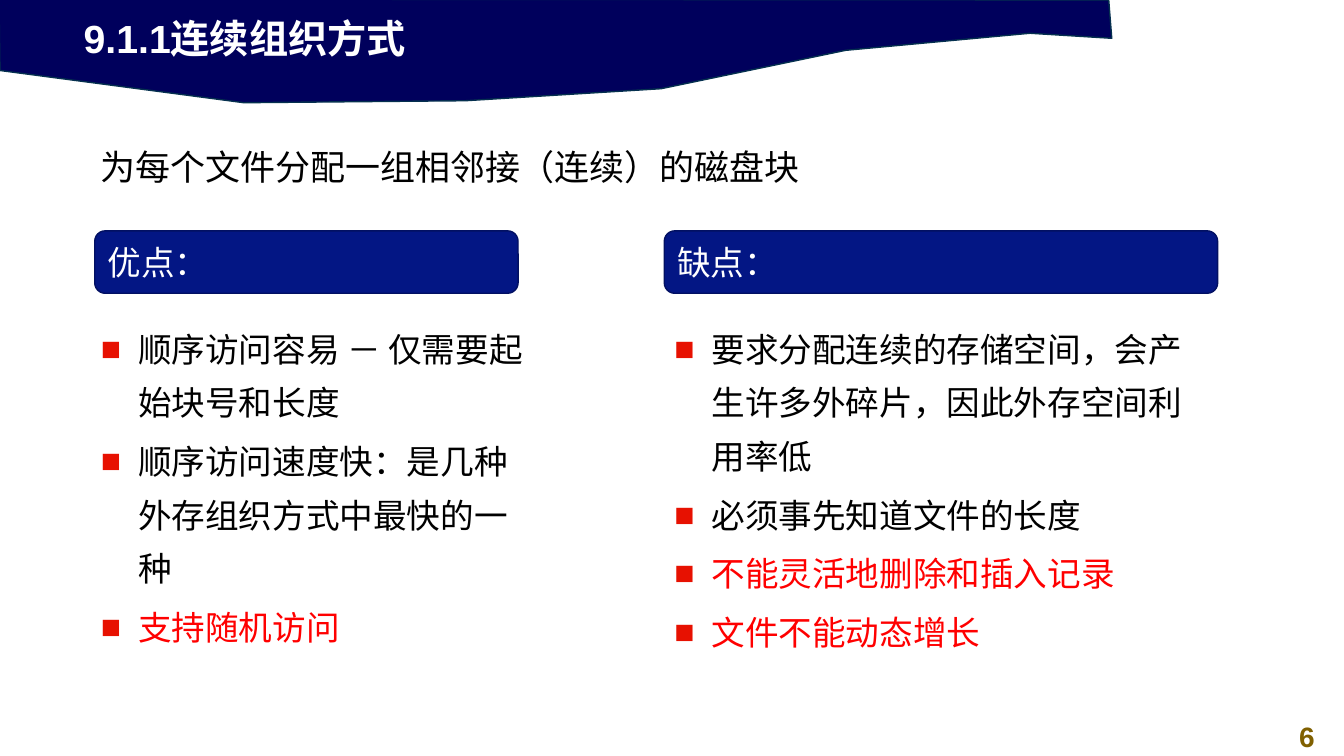
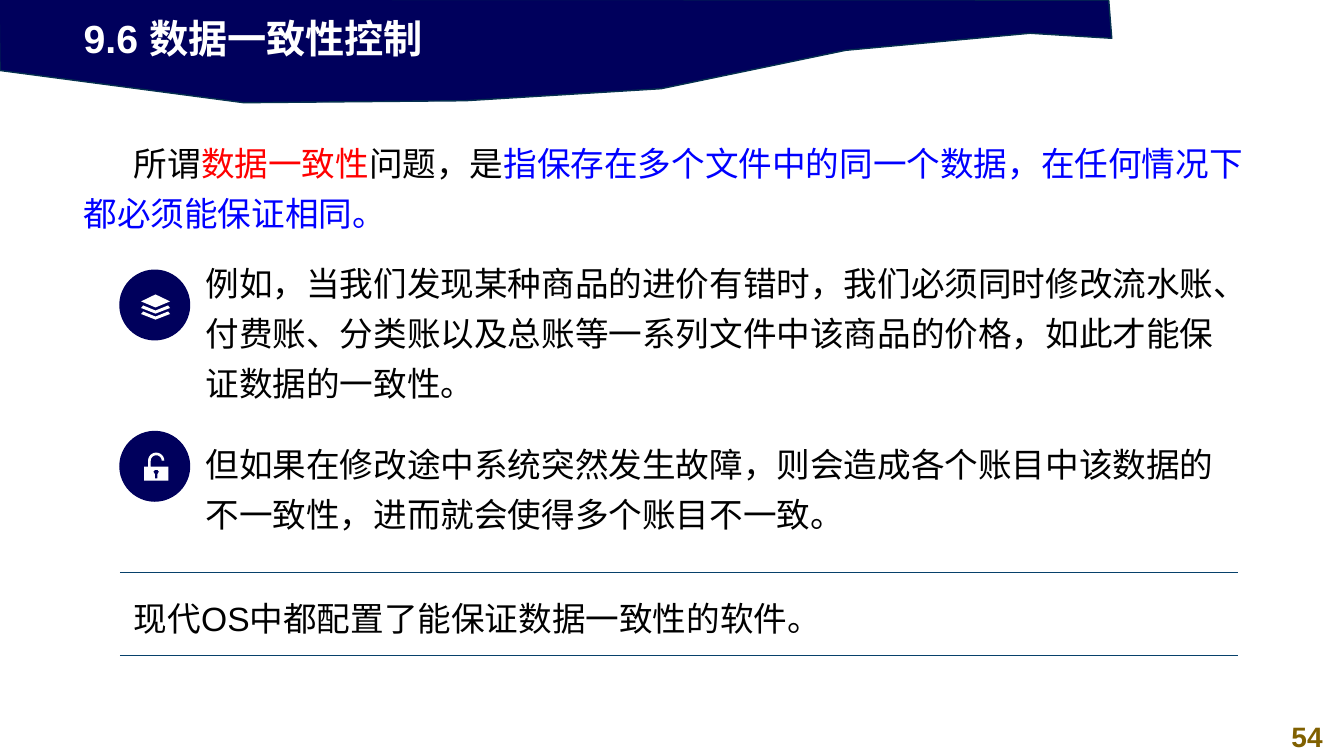
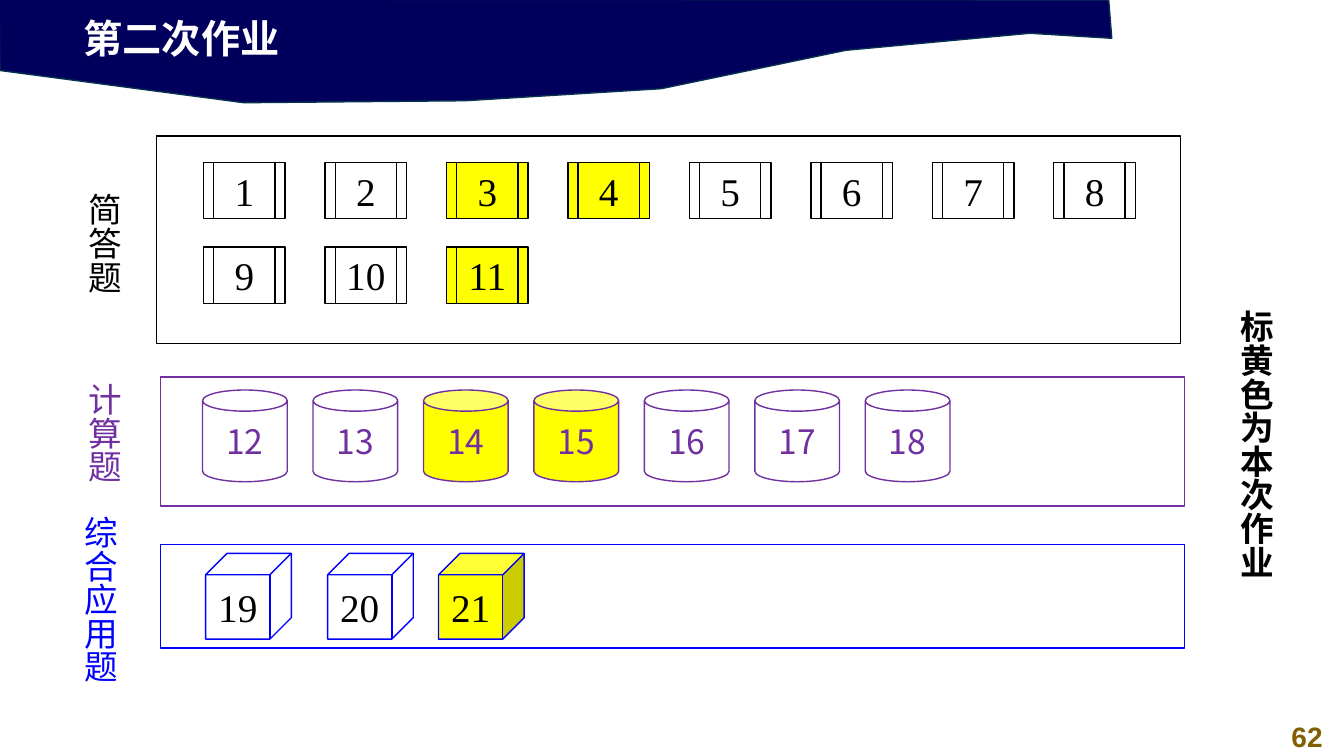
import math

from lxml import etree
from pptx import Presentation
from pptx import util as u
from pptx.dml.color import RGBColor
from pptx.enum import shapes, text
from pptx.oxml import ns

Pt = u.Pt
SHAPE = shapes.MSO_SHAPE
MIDDLE = text.MSO_ANCHOR.MIDDLE

NAVY = RGBColor(0x00, 0x00, 0x5C)
BAND_EDGE = RGBColor(0x05, 0x30, 0x4F)
GOLD = RGBColor(0x80, 0x60, 0x00)
HEADER = RGBColor(0x03, 0x16, 0x84)
HEADER_EDGE = RGBColor(0x02, 0x10, 0x62)
RULE = RGBColor(0x07, 0x41, 0x6B)
WHITE = RGBColor(0xFF, 0xFF, 0xFF)
BLACK = RGBColor(0x00, 0x00, 0x00)
RED = RGBColor(0xFF, 0x00, 0x00)
BLUE = RGBColor(0x00, 0x00, 0xFF)
PURPLE = RGBColor(0x70, 0x30, 0xA0)
YELLOW = RGBColor(0xFF, 0xFF, 0x00)

LATIN, CJK, SERIF = "Arial", "Noto Sans CJK SC", "Times New Roman"


def style(r, size, color, name=LATIN, bold=False):
    """Format one run, with the CJK font for its Chinese text."""
    r.font.size, r.font.bold, r.font.name = Pt(size), bold, name
    r.font.color.rgb = color
    ea = etree.SubElement(r.font._element, ns.qn("a:ea"))
    ea.set("typeface", CJK)


def paint(sp, fill=None, line=None):
    """Set the fill and outline of a shape; None means none."""
    sp.shadow.inherit = False
    if fill is None:
        sp.fill.background()
    else:
        sp.fill.solid()
        sp.fill.fore_color.rgb = fill
    if line is None:
        sp.line.fill.background()
    else:
        sp.line.color.rgb = line
        sp.line.width = Pt(1)


prs = Presentation()
prs.slide_width, prs.slide_height = Pt(960), Pt(540)

# Slides with title and number
slides = []
for layout, title, number in [
    (3, "9.1.1连续组织方式", "6"),
    (5, "9.6 数据一致性控制", "54"),
    (5, "第二次作业", "62"),
]:
    s = prs.slides.add_slide(prs.slide_layouts[layout])
    slides.append(s)
    sp = s.shapes.title
    sp.left, sp.top, sp.width, sp.height = Pt(52.6), Pt(6.5), Pt(553), Pt(41)
    tf = sp.text_frame
    tf.text = title
    tf.vertical_anchor = MIDDLE
    tf.auto_size = text.MSO_AUTO_SIZE.NONE
    p = tf.paragraphs[0]
    p.alignment = text.PP_ALIGN.LEFT
    style(p.runs[0], 28, WHITE, bold=True)

    tf = s.shapes.add_textbox(Pt(907.2), Pt(510.5), Pt(52.8), Pt(31.7)).text_frame
    tf.word_wrap = True
    tf.text = number
    p = tf.paragraphs[0]
    p.alignment = text.PP_ALIGN.CENTER
    style(p.runs[0], 20, GOLD, bold=True)

# Title band, moved to the master
fb = slides[0].shapes.build_freeform(Pt(-0.7), Pt(-0.7), scale=1.0)
fb.add_line_segments([(Pt(x), Pt(y)) for x, y in [
    (0, 50.4), (174.2, 73.4), (332.6, 72), (472.3, 63.4),
    (604.1, 36), (735.8, 23.8), (794.2, 27.4), (792, 0)]])
band = fb.convert_to_shape()
paint(band, NAVY, BAND_EDGE)
prs.slide_master.element.cSld.spTree.insert(2, band.element)

# Slide 1: contiguous allocation
s = slides[0]
tf = s.shapes.add_textbox(Pt(64.8), Pt(100.1), Pt(566.6), Pt(37.4)).text_frame
tf.word_wrap = True
tf.text = "为每个文件分配一组相邻接（连续）的磁盘块"
style(tf.paragraphs[0].runs[0], 25, BLACK)

columns = [
    ("优点：", 67.7, 302.4, 64.8, 326.2, [
        ("顺序访问容易 － 仅需要起始块号和长度", BLACK),
        ("顺序访问速度快：是几种外存组织方式中最快的一种", BLACK),
        ("支持随机访问", RED)]),
    ("缺点：", 474.5, 395.3, 474.5, 395.3, [
        ("要求分配连续的存储空间，会产生许多外碎片，因此外存空间利用率低", BLACK),
        ("必须事先知道文件的长度", BLACK),
        ("不能灵活地删除和插入记录", RED),
        ("文件不能动态增长", RED)]),
]
for idx, (heading, x, w, list_x, list_w, items) in enumerate(columns, 1):
    sp = s.shapes.add_shape(SHAPE.ROUNDED_RECTANGLE, Pt(x), Pt(164.9), Pt(w), Pt(44.6))
    paint(sp, HEADER, HEADER_EDGE)
    tf = sp.text_frame
    tf.text = heading
    tf.vertical_anchor = MIDDLE
    tf.paragraphs[0].alignment = text.PP_ALIGN.LEFT
    style(tf.paragraphs[0].runs[0], 24, WHITE)

    sp = s.placeholders[idx]
    sp.left, sp.top, sp.width, sp.height = Pt(list_x), Pt(221.8), Pt(list_w), Pt(254)
    tf = sp.text_frame
    tf.text = "\n".join(item for item, color in items)
    tf.auto_size = text.MSO_AUTO_SIZE.NONE
    for i, (p, (item, color)) in enumerate(zip(tf.paragraphs, items)):
        pPr = p._p.get_or_add_pPr()
        pPr.set("marL", str(Pt(26.6)))
        pPr.set("indent", str(-Pt(26.6)))
        clr = etree.SubElement(pPr, ns.qn("a:buClr"))
        etree.SubElement(clr, ns.qn("a:srgbClr")).set("val", "E71101")
        etree.SubElement(pPr, ns.qn("a:buFont")).set("typeface", LATIN)
        etree.SubElement(pPr, ns.qn("a:buChar")).set("char", "■")
        p.line_spacing = Pt(38.2)
        p.space_before = Pt(3.7 if i else 0)
        style(p.runs[0], 24, color)

# Slide 2: paragraphs
s = slides[1]
for x, y, w, h, indent, runs in [
    (52.6, 100.8, 855.4, 59.8, 36, [
        ("所谓", BLACK), ("数据一致性", RED), ("问题，是", BLACK),
        ("指保存在多个文件中的同一个数据，在任何情况下都必须能保证相同。", BLUE)]),
    (139.7, 186.5, 757.4, 96.5, 0, [
        ("例如，当我们发现某种商品的进价有错时，我们必须同时修改流水账、付费账、"
         "分类账以及总账等一系列文件中该商品的价格，如此才能保证数据的一致性。", BLACK)]),
    (139.7, 311.8, 744.5, 67.7, 0, [
        ("但如果在修改途中系统突然发生故障，则会造成各个账目中该数据的不一致性，"
         "进而就会使得多个账目不一致。", BLACK)]),
    (52.6, 408.2, 855.4, 59.8, 36, [
        ("现代OS中都配置了能保证数据一致性的软件。", BLACK)]),
]:
    tf = s.shapes.add_textbox(Pt(x), Pt(y), Pt(w), Pt(h)).text_frame
    tf.word_wrap = True
    tf.vertical_anchor = MIDDLE
    p = tf.paragraphs[0]
    p._p.get_or_add_pPr().set("indent", str(Pt(indent)))
    p.line_spacing = Pt(35.7)
    for words, color in runs:
        r = p.add_run()
        r.text = words
        style(r, 24, color)

# Slide 2: round icons, each a list of outlines relative to its circle
chevron = [(15.1, 27), (16.6, 25.2), (25.4, 28.8), (34.4, 25.2), (35.8, 27), (25.4, 31)]
layers = [[(15.1, 22.3), (25.4, 17.3), (35.8, 22.3), (25.4, 26.6)],
          chevron, [(x, y + 4.3) for x, y in chevron]]
angles = [math.pi * i / 12 for i in range(13)]
outer = [(25.9 - 5.8 * math.cos(a), 20.9 - 5.8 * math.sin(a)) for a in angles]
inner = [(25.9 + 3.9 * math.cos(a), 20.9 - 3.9 * math.sin(a)) for a in angles]
padlock = [[(17.3, 25.2), (20.1, 25.2)] + outer + inner
           + [(22, 25.2), (34.6, 25.2), (34.6, 35.2), (17.3, 35.2)],
           [(23.9, 28.7), (25, 27.4), (26.8, 27.4), (27.9, 28.7), (26.8, 30.6),
            (26.8, 33.6), (25, 33.6), (25, 30.6)]]
for cx, cy, outlines in [(85.7, 193, layers), (85.7, 308.2, padlock)]:
    sp = s.shapes.add_shape(SHAPE.OVAL, Pt(cx), Pt(cy), Pt(49.7), Pt(49.7))
    paint(sp, NAVY, NAVY)
    fb = None
    for outline in outlines:
        points = [(Pt(cx + x), Pt(cy + y)) for x, y in outline]
        if fb is None:
            fb = s.shapes.build_freeform(*points[0], scale=1.0)
        else:
            fb.move_to(*points[0])
        fb.add_line_segments(points[1:])
    paint(fb.convert_to_shape(), WHITE)

# Slide 2: rules around the conclusion
for y in (409, 468):
    c = s.shapes.add_connector(shapes.MSO_CONNECTOR.STRAIGHT,
                               Pt(85.7), Pt(y), Pt(884.2), Pt(y))
    c.line.color.rgb = RULE
    c.line.width = Pt(0.5)
    etree.SubElement(c.element.spPr, ns.qn("a:effectLst"))

# Slide 3: frames
s = slides[2]
for x, y, h, color in [(111.6, 97.2, 148.3, BLACK), (114.5, 269.3, 92.2, PURPLE),
                       (114.5, 388.8, 74.2, BLUE)]:
    sp = s.shapes.add_shape(SHAPE.RECTANGLE, Pt(x), Pt(y), Pt(731.5), Pt(h))
    paint(sp, line=color)

# Slide 3: vertical labels
for words, x, y, h, color, bold in [
    ("简答题", 48.2, 131, 79.9, BLACK, False),
    ("计算题", 48.2, 266.4, 79.9, PURPLE, False),
    ("综合应用题", 45.4, 361.4, 128.2, BLUE, False),
    ("标黄色为本次作业", 871.2, 214.6, 200.9, BLACK, True),
]:
    tf = s.shapes.add_textbox(Pt(x), Pt(y), Pt(43.9), Pt(h)).text_frame
    tf.word_wrap = False
    tf.auto_size = text.MSO_AUTO_SIZE.SHAPE_TO_FIT_TEXT
    tf._txBody.bodyPr.set("vert", "eaVert")
    tf.text = words
    style(tf.paragraphs[0].runs[0], 24, color, CJK, bold)

# Slide 3: numbered questions, this time's homework in yellow
HOMEWORK = {3, 4, 11, 14, 15, 21}
short_answers = [(145.4 + 86.76 * (i % 8), 115.9 + 60.5 * (i // 8)) for i in range(11)]
calculations = [(144.7 + 78.9 * i, 278.6) for i in range(7)]
applications = [(x, 395.3) for x in (146.9, 234, 313.2)]
number = 0
for kind, places, w, h, edge, size, color, font in [
    (SHAPE.FLOWCHART_PREDEFINED_PROCESS, short_answers, 58.3, 40.3, BLACK, 28, BLACK, SERIF),
    (SHAPE.CAN, calculations, 60.5, 65.5, PURPLE, 24, PURPLE, CJK),
    (SHAPE.CUBE, applications, 61.2, 61.2, BLUE, 28, BLACK, SERIF),
]:
    for x, y in places:
        number += 1
        sp = s.shapes.add_shape(kind, Pt(x), Pt(y), Pt(w), Pt(h))
        paint(sp, YELLOW if number in HOMEWORK else None, edge)
        tf = sp.text_frame
        tf.word_wrap = False
        tf.vertical_anchor = MIDDLE
        tf.text = str(number)
        p = tf.paragraphs[0]
        p.alignment = text.PP_ALIGN.CENTER
        style(p.runs[0], size, color, font)

prs.save("out.pptx")
